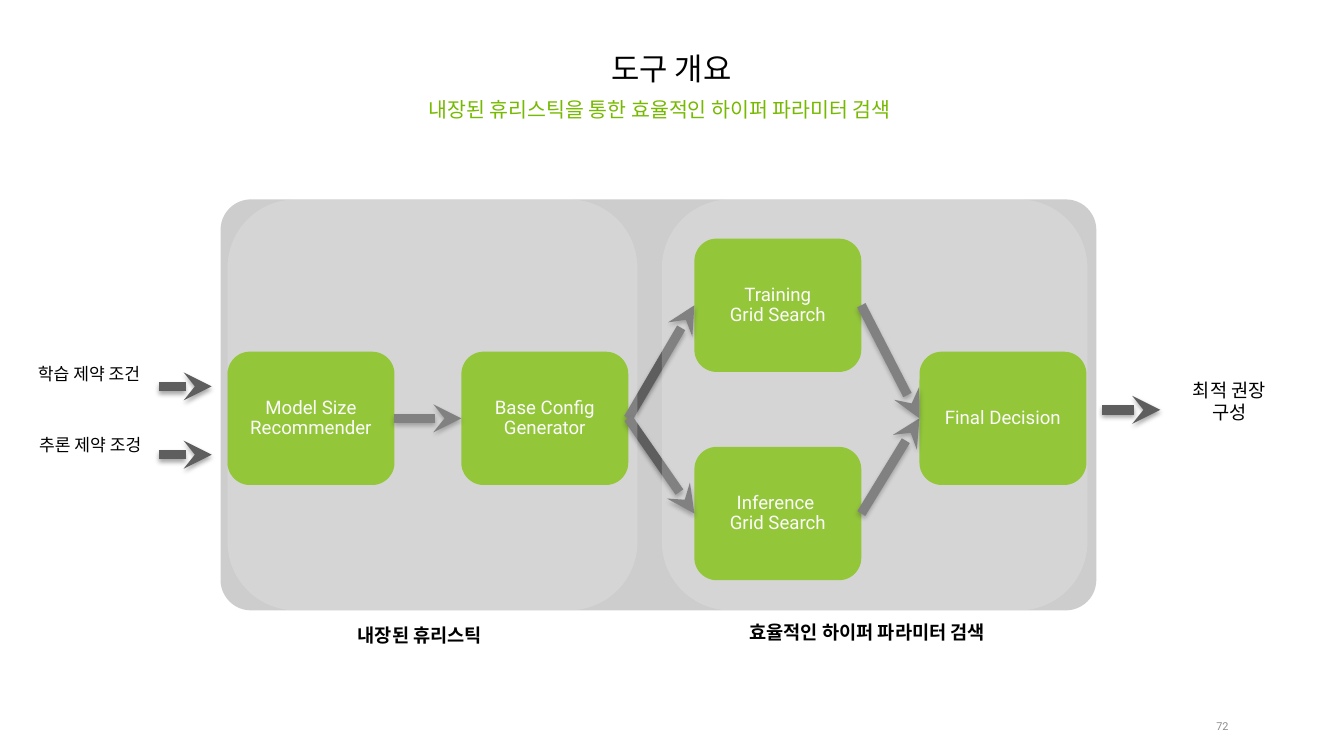
"""Build the tool overview slide with its search pipeline."""
from lxml.etree import SubElement
from pptx import Presentation
from pptx.dml.color import RGBColor
from pptx.enum.shapes import MSO_CONNECTOR, MSO_SHAPE
from pptx.enum.text import MSO_ANCHOR, PP_ALIGN
from pptx.oxml import parse_xml
from pptx.oxml.ns import nsdecls, qn
from pptx.util import Pt

BLACK = RGBColor(0x00, 0x00, 0x00)
WHITE = RGBColor(0xFF, 0xFF, 0xFF)
GREEN = RGBColor(0x76, 0xB9, 0x00)
PANEL = RGBColor(0xCD, 0xCD, 0xCD)
VEIL = RGBColor(0xF2, 0xF2, 0xF2)
ARROW = RGBColor(0x5E, 0x5E, 0x5E)
MUTED = RGBColor(0x8C, 0x8C, 0x8C)

BOX_W, BOX_H = 107.3, 85.7
MID, HIGH, LOW = 226.1, 153.4, 287.3
STEPS = {
    "model": ("Model Size Recommender", 146.3, MID),
    "base": ("Base Config Generator", 296.6, MID),
    "train": ("Training\nGrid Search", 446.4, HIGH),
    "infer": ("Inference \nGrid Search", 446.4, LOW),
    "final": ("Final Decision", 591.1, MID),
}
LINKS = [("model", "base"), ("base", "train"), ("base", "infer"),
         ("infer", "final"), ("train", "final")]
PORTS = [(102.2, 248.4, 136.1), (102.2, 292.3, 136.1), (708.5, 263.5, 745.9)]
LABELS = [
    ("도구 개요", (59, 0, 745.2, 59), {"size": Pt(19.8)}, MSO_ANCHOR.BOTTOM),
    ("내장된 휴리스틱을 통한 효율적인 하이퍼 파라미터 검색", (173.5, 59, 501.1, 23),
     {"size": Pt(13.2), "color": GREEN}, MSO_ANCHOR.TOP),
    ("학습 제약 조건", (16.6, 230.4, 81.4, 33.8), {"size": Pt(11)}, MSO_ANCHOR.TOP),
    ("추론 제약 조겅", (16.6, 275.8, 82.8, 33.8), {"size": Pt(11)}, MSO_ANCHOR.TOP),
    ("최적 권장 구성", (747.4, 239.8, 85.7, 36), {}, MSO_ANCHOR.TOP),
    ("내장된 휴리스틱", (173.5, 397.4, 193, 21.6), {"bold": True}, MSO_ANCHOR.TOP),
    ("효율적인 하이퍼 파라미터 검색", (445.7, 395.3, 223.9, 21.6), {"bold": True},
     MSO_ANCHOR.TOP),
]
SHADOW = (
    f'<a:effectLst {nsdecls("a")}><a:outerShdw blurRad="39370" dist="22860" '
    'dir="5400000" rotWithShape="0"><a:srgbClr val="000000"><a:alpha val="35000"/>'
    '</a:srgbClr></a:outerShdw></a:effectLst>'
)


def write(frame, text, style, align=PP_ALIGN.CENTER, space=None):
    """Fill a text frame and format each of its paragraphs."""
    look = {"name": "Roboto", "size": Pt(12), "color": BLACK} | style
    color = look.pop("color")
    frame.word_wrap = True
    frame.text = text
    for para in frame.paragraphs:
        para.alignment = align
        para.line_spacing = space
        for run in para.runs:
            for key, value in look.items():
                setattr(run.font, key, value)
            run.font.color.rgb = color


def add_label(slide, text, place, style, anchor):
    """Add a centred text box."""
    frame = slide.shapes.add_textbox(*map(Pt, place)).text_frame
    frame.vertical_anchor = anchor
    write(frame, text, style)


def add_round(slide, place, fill, curve=0.167, alpha=None):
    """Add a plain rounded rectangle, clear in part when alpha is given."""
    shape = slide.shapes.add_shape(MSO_SHAPE.ROUNDED_RECTANGLE, *map(Pt, place))
    shape.adjustments[0] = curve
    shape.shadow.inherit = False
    shape.fill.solid()
    shape.fill.fore_color.rgb = fill
    shape.line.fill.background()
    if alpha is not None:
        tint = shape.fill._xPr.find(f'{qn("a:solidFill")}/{qn("a:srgbClr")}')
        SubElement(tint, qn("a:alpha"), val=str(alpha * 1000))
    return shape


def add_step(slide, text, left, top):
    """Add a green step of the pipeline."""
    shape = add_round(slide, (left, top, BOX_W, BOX_H), GREEN)
    shape.text_frame.vertical_anchor = MSO_ANCHOR.MIDDLE
    write(shape.text_frame, text, {"color": WHITE}, space=0.9)


def add_arrow(slide, *ends):
    """Add a thick arrow with a soft shadow."""
    link = slide.shapes.add_connector(MSO_CONNECTOR.STRAIGHT, *map(Pt, ends))
    link.line.width = Pt(6)
    link.line.color.rgb = ARROW
    props = link._element.spPr
    SubElement(props.find(qn("a:ln")), qn("a:tailEnd"), type="stealth")
    props.append(parse_xml(SHADOW))


def add_number(slide, text):
    """Add the page number."""
    frame = slide.shapes.add_textbox(Pt(764.6), Pt(461.5), Pt(25.2), Pt(10.8)).text_frame
    for side in ("left", "top", "right", "bottom"):
        setattr(frame, f"margin_{side}", 0)
    frame.vertical_anchor = MSO_ANCHOR.MIDDLE
    write(frame, text, {"size": Pt(7), "color": MUTED}, PP_ALIGN.RIGHT)


def main():
    """Draw the slide from back to front and save it."""
    deck = Presentation()
    deck.slide_width, deck.slide_height = Pt(864), Pt(486)
    slide = deck.slides.add_slide(deck.slide_layouts[6])
    add_number(slide, "72")
    add_round(slide, (141.8, 128.2, 563, 264.2), PANEL, 0.074)
    for step in STEPS.values():
        add_step(slide, *step)
    for start, y, end in PORTS:
        add_arrow(slide, start, y, end, y)
    for tail, head in LINKS:
        (_, left, top), (_, right, low) = STEPS[tail], STEPS[head]
        add_arrow(slide, left + BOX_W, top + BOX_H / 2, right, low + BOX_H / 2)
    for left, width in ((146.3, 263.5), (425.5, 273.6)):
        add_round(slide, (left, 128.2, width, 264.2), VEIL, alpha=24)
    for label in LABELS:
        add_label(slide, *label)
    deck.save("out.pptx")


if __name__ == "__main__":
    main()
